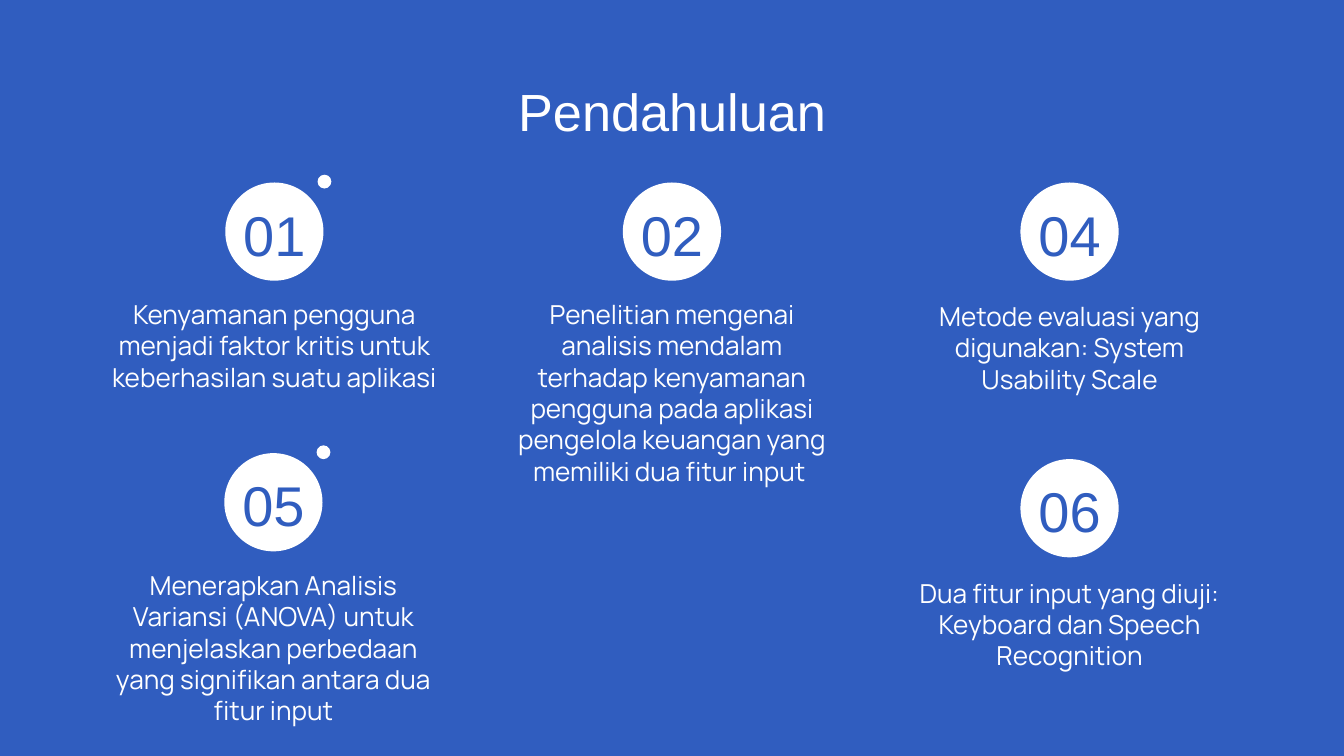
from pptx import Presentation
from pptx.dml.color import RGBColor
from pptx.enum.shapes import MSO_SHAPE
from pptx.enum.text import MSO_ANCHOR, PP_ALIGN
from pptx.util import Pt

OVAL = MSO_SHAPE.OVAL
TOP, BOTTOM = MSO_ANCHOR.TOP, MSO_ANCHOR.BOTTOM
CENTER = PP_ALIGN.CENTER

BLUE, WHITE = "305DBF", "FFFFFF"
CIRCLE, DOT = 52.6, 7.4
TEXT_WIDTH, TEXT_HEIGHT = 190.8, 52.6
MIDDLE, COLUMN_STEP = 360, 213
LEFT, RIGHT = MIDDLE - COLUMN_STEP, MIDDLE + COLUMN_STEP

# number, center x, circle top, text top, has dot, paragraphs
POINTS = [
    ("01", LEFT, 97.8, 152.6, True,
     ["Kenyamanan pengguna menjadi faktor kritis untuk keberhasilan suatu aplikasi"]),
    ("02", MIDDLE, 97.8, 152.6, False,
     ["Penelitian mengenai analisis mendalam terhadap kenyamanan pengguna "
      "pada aplikasi pengelola keuangan yang memiliki dua fitur input "]),
    ("04", RIGHT, 97.8, 153.8, False,
     ["Metode evaluasi yang digunakan: System Usability Scale"]),
    ("05", LEFT - 0.5, 242.8, 297.8, True,
     ["Menerapkan Analisis Variansi (ANOVA) untuk menjelaskan perbedaan "
      "yang signifikan antara dua fitur input"]),
    ("06", RIGHT, 246, 302, False,
     ["Dua fitur input yang diuji:", "Keyboard dan Speech Recognition"]),
]


def color(value):
    return RGBColor.from_string(value)


def add_circle(page, center, top, size):
    circle = page.shapes.add_shape(OVAL, Pt(center - size / 2), Pt(top), Pt(size), Pt(size))
    circle.shadow.inherit = False
    circle.fill.solid()
    circle.fill.fore_color.rgb = color(WHITE)
    circle.line.fill.background()


def add_text(page, center, top, width, height, lines, font, size, ink, anchor=TOP):
    box = page.shapes.add_textbox(Pt(center - width / 2), Pt(top), Pt(width), Pt(height))
    frame = box.text_frame
    frame.word_wrap = True
    frame.vertical_anchor = anchor
    frame.margin_left = frame.margin_right = Pt(7.2)
    frame.margin_top = frame.margin_bottom = Pt(7.2)
    frame.text = "\n".join(lines)
    for para in frame.paragraphs:
        para.alignment = CENTER
        para.font.name = font
        para.font.size = Pt(size)
        para.font.color.rgb = color(ink)


def add_point(page, number, center, circle_top, text_top, has_dot, lines):
    add_circle(page, center, circle_top, CIRCLE)
    add_text(page, center, circle_top, CIRCLE, CIRCLE, [number], "Arial", 30, BLUE, BOTTOM)
    add_text(page, center, text_top, TEXT_WIDTH, TEXT_HEIGHT, lines, "Manrope", 14, WHITE)
    if has_dot:
        add_circle(page, center + 26.8, circle_top - 4.2, DOT)


def main():
    deck = Presentation()
    deck.slide_width, deck.slide_height = Pt(720), Pt(405)
    page = deck.slides.add_slide(deck.slide_layouts[6])
    page.background.fill.solid()
    page.background.fill.fore_color.rgb = color(BLUE)
    add_text(page, MIDDLE, 35.3, 671, 45.4, ["Pendahuluan"], "Arial", 28, WHITE)
    for point in POINTS:
        add_point(page, *point)
    deck.save("out.pptx")


if __name__ == "__main__":
    main()
